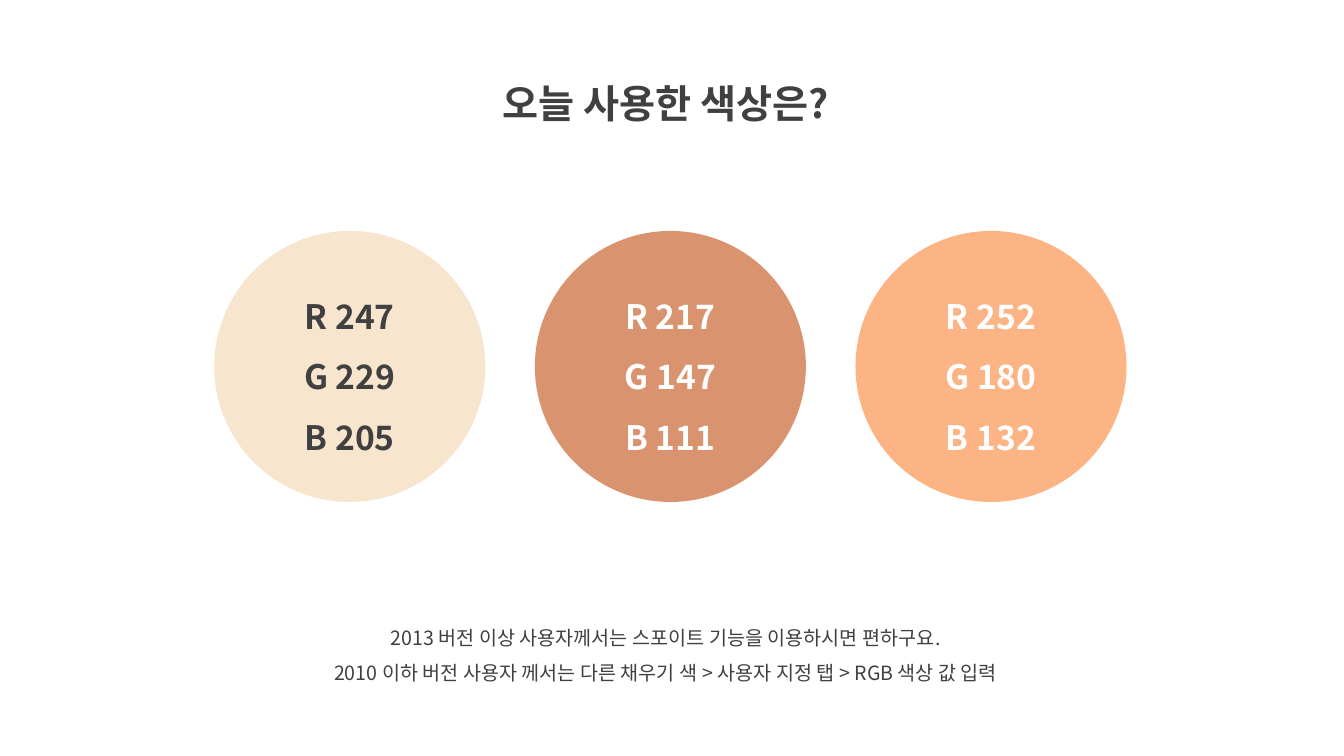
import pptx
import pptx.dml.color
import pptx.enum.shapes
import pptx.enum.text
import pptx.oxml
import pptx.oxml.ns
import pptx.util

Cm = pptx.util.Cm
RGBColor = pptx.dml.color.RGBColor

FONT = "Noto Sans CJK KR"
DARK = RGBColor(64, 64, 64)
WHITE = RGBColor(255, 255, 255)
CREAM = RGBColor(247, 229, 205)
CLAY = RGBColor(217, 147, 111)
PEACH = RGBColor(252, 180, 132)

TITLE = "오늘 사용한 색상은?"
NOTES = [
    "2013 버전 이상 사용자께서는 스포이트 기능을 이용하시면 편하구요.",
    "2010 이하 버전 사용자 께서는 다른 채우기 색 > 사용자 지정 탭 > RGB 색상 값 입력",
]


def write(frame, lines, size, color, bold=False):
    """Fill a text frame with centred lines."""
    frame.word_wrap = True
    frame.text = "\n".join(lines)
    for line in frame.paragraphs:
        line.alignment = pptx.enum.text.PP_ALIGN.CENTER
        line.line_spacing = 1.5
        for run in line.runs:
            font = run.font
            font.size = pptx.util.Pt(size)
            font.bold = bold
            font.color.rgb = color
            font.name = FONT
            # Korean letters take the East Asian font
            asian = pptx.oxml.ns.qn("a:ea")
            run._r.get_or_add_rPr().makeelement(asian, {})
            latin = run._r.rPr.find(pptx.oxml.ns.qn("a:latin"))
            latin.addnext(latin.makeelement(asian, {"typeface": FONT}))


def add_text(slide, box, lines, size, bold=False):
    frame = slide.shapes.add_textbox(*map(Cm, box)).text_frame
    write(frame, lines, size, DARK, bold)
    frame.auto_size = pptx.enum.text.MSO_AUTO_SIZE.SHAPE_TO_FIT_TEXT


def add_disc(slide, left, top, size, fill, color):
    """Draw a colour sample that names its own RGB values."""
    disc = slide.shapes.add_shape(
        pptx.enum.shapes.MSO_SHAPE.OVAL, Cm(left), Cm(top), Cm(size), Cm(size))
    disc.shadow.inherit = False
    disc.fill.solid()
    disc.fill.fore_color.rgb = fill
    disc.line.fill.background()
    lines = [f"{name} {value}" for name, value in zip("RGB", fill)]
    write(disc.text_frame, lines, 24, color, True)
    disc.text_frame.vertical_anchor = pptx.enum.text.MSO_ANCHOR.MIDDLE


def main():
    deck = pptx.Presentation()
    deck.slide_width, deck.slide_height = Cm(33.87), Cm(19.05)
    slide = deck.slides.add_slide(deck.slide_layouts[6])

    # Title and notes
    add_text(slide, (10.9, 1.27, 11.76, 1.83), [TITLE], 28, True)
    add_text(slide, (6.63, 15.34, 20.29, 2.06), NOTES, 14)

    # Colour samples
    discs = [(CREAM, DARK), (CLAY, WHITE), (PEACH, WHITE)]
    for index, (fill, color) in enumerate(discs):
        add_disc(slide, 5.4 + 8.08 * index, 5.82, 6.83, fill, color)

    deck.save("out.pptx")


if __name__ == "__main__":
    main()
